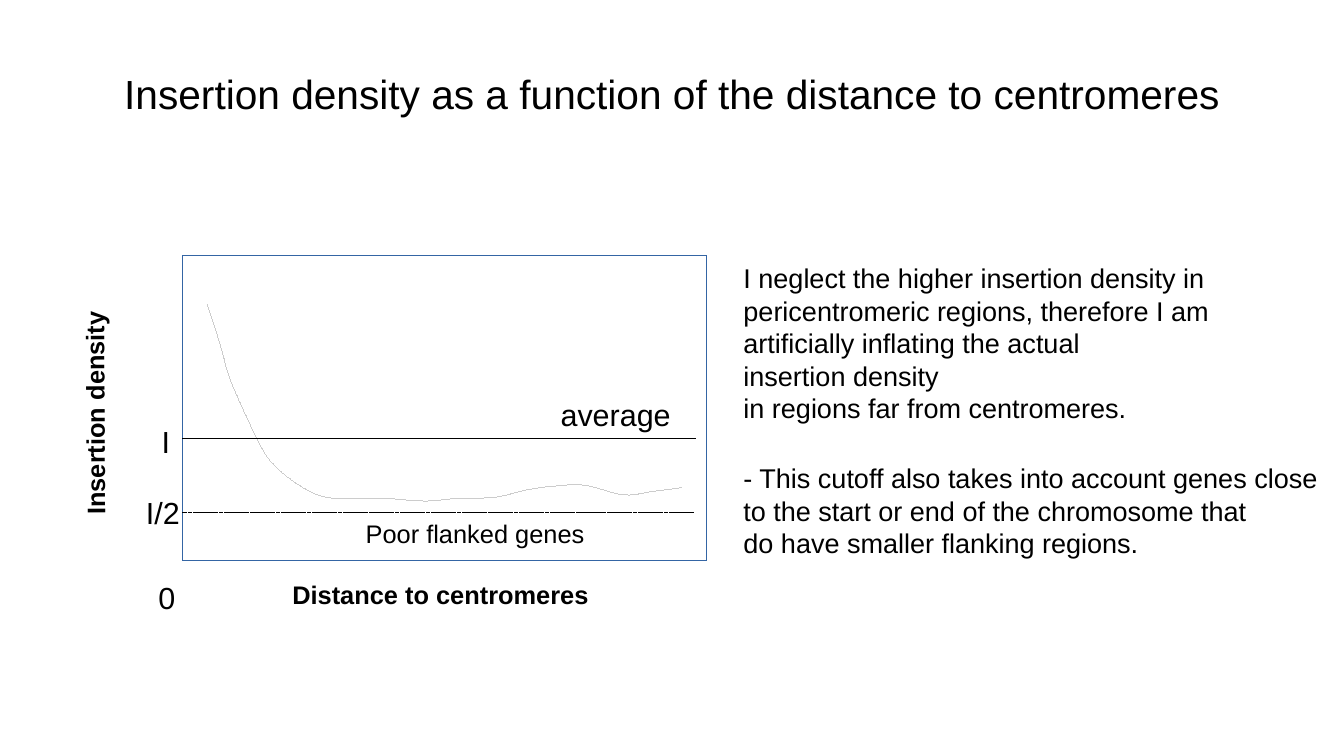
from lxml import etree
from pptx import Presentation
from pptx.dml.color import RGBColor
from pptx.enum.dml import MSO_LINE
from pptx.enum.shapes import MSO_CONNECTOR, MSO_SHAPE
from pptx.enum.text import MSO_ANCHOR, MSO_AUTO_SIZE, PP_ALIGN
from pptx.oxml.ns import qn
from pptx.util import Cm, Pt

BLACK = RGBColor(0x00, 0x00, 0x00)
FRAME_BLUE = RGBColor(0x34, 0x65, 0xA4)
FONT = "Arial"
STRAIGHT = MSO_CONNECTOR.STRAIGHT
RECTANGLE = MSO_SHAPE.RECTANGLE
DASHED = MSO_LINE.SQUARE_DOT
MIDDLE = MSO_ANCHOR.MIDDLE
GROW = MSO_AUTO_SIZE.SHAPE_TO_FIT_TEXT
CENTER = PP_ALIGN.CENTER

TITLE_ONLY = 5
TITLE = "Insertion density as a function of the distance to centromeres"
PLOT_LEFT, PLOT_TOP, PLOT_WIDTH, PLOT_HEIGHT = 3.81, 5.33, 10.92, 6.35
LEVEL_RIGHT = 14.48
AVERAGE_Y, CUTOFF_Y = 9.14, 10.67

DENSITY = [
    (4.32, 6.35), (4.57, 7.11), (4.78, 7.85), (5.13, 8.66), (5.54, 9.47),
    (6.05, 9.98), (6.71, 10.34), (7.44, 10.39), (8.1, 10.39), (8.86, 10.44),
    (9.47, 10.39), (10.31, 10.36), (10.95, 10.21), (11.53, 10.13),
    (12.19, 10.11), (13, 10.31), (13.59, 10.24), (14.2, 10.16),
]
STEPS = 6

NOTES = [
    "I neglect the higher insertion density in \n"
    "pericentromeric regions, therefore I am \n"
    "artificially inflating the actual",
    "insertion density\nin regions far from centromeres.",
    "- This cutoff also takes into account genes close\n"
    "to the start or end of the chromosome that \n"
    "do have smaller flanking regions.",
]


def write_paragraph(para, text, size, bold=False, align=None, before=0):
    para.text = text
    para.alignment = align
    if before:
        para.space_before = Pt(before)
    for span in para.runs:
        span.font.name = FONT
        span.font.size = Pt(size)
        span.font.bold = bold
        span.font.color.rgb = BLACK
    for line_break in para._p.findall(qn("a:br")):
        etree.SubElement(line_break, qn("a:rPr"), sz=str(size * 100))


def add_text(page, text, left, top, width, height, size=18, bold=False,
             wrap=False, rotation=0):
    box = page.shapes.add_textbox(Cm(left), Cm(top), Cm(width), Cm(height))
    box.rotation = rotation
    box.text_frame.word_wrap = wrap
    box.text_frame.auto_size = GROW
    write_paragraph(box.text_frame.paragraphs[0], text, size, bold)
    return box


def set_title(page):
    title = page.shapes.title
    title.left, title.top = Cm(1.4), Cm(0.63)
    title.width, title.height = Cm(25.2), Cm(2.63)
    frame = title.text_frame
    frame.margin_left = frame.margin_right = 0
    frame.margin_top = frame.margin_bottom = 0
    frame.vertical_anchor = MIDDLE
    write_paragraph(frame.paragraphs[0], TITLE, 24, align=CENTER)


def set_hairline(shape, color):
    """Give the outline a written zero width, which the setter would omit."""
    shape.line.color.rgb = color
    shape.line._ln.set("w", "0")


def add_plot_frame(page):
    frame = page.shapes.add_shape(RECTANGLE, Cm(PLOT_LEFT), Cm(PLOT_TOP),
                                  Cm(PLOT_WIDTH), Cm(PLOT_HEIGHT))
    frame.shadow.inherit = False
    frame.fill.background()
    set_hairline(frame, FRAME_BLUE)


def add_level(page, y, dash=None):
    """Draw a horizontal reference line across the plot."""
    level = page.shapes.add_connector(STRAIGHT, Cm(PLOT_LEFT), Cm(y),
                                      Cm(LEVEL_RIGHT), Cm(y))
    set_hairline(level, BLACK)
    level.line.dash_style = dash
    etree.SubElement(level._element.spPr, qn("a:effectLst"))


def smooth(points):
    """Return Catmull-Rom samples, in EMU, through points given in cm."""
    padded = [points[0], *points, points[-1]]
    samples = [points[0]]
    for a, b, c, d in zip(padded, padded[1:], padded[2:], padded[3:]):
        for step in range(1, STEPS + 1):
            t = step / STEPS
            samples.append(tuple(
                (2 * q + (r - p) * t + (2 * p - 5 * q + 4 * r - s) * t ** 2
                 + (3 * q - p - 3 * r + s) * t ** 3) / 2
                for p, q, r, s in zip(a, b, c, d)))
    return [(Cm(x), Cm(y)) for x, y in samples]


def add_density_curve(page):
    start, *others = smooth(DENSITY)
    builder = page.shapes.build_freeform(*start)
    builder.add_line_segments(others, close=False)
    curve = builder.convert_to_shape()
    curve.shadow.inherit = False
    curve.fill.background()
    set_hairline(curve, BLACK)
    color = curve.line._ln.find(".//" + qn("a:srgbClr"))
    etree.SubElement(color, qn("a:alpha"), val="20000")


def add_notes(page):
    first, second, third = NOTES
    frame = add_text(page, first, 15.24, 5.33, 12.5, 5.97, size=16).text_frame
    write_paragraph(frame.add_paragraph(), second, 16)
    write_paragraph(frame.add_paragraph(), third, 16, before=22)


def main():
    deck = Presentation()
    deck.slide_width, deck.slide_height = Cm(28), Cm(15.75)
    page = deck.slides.add_slide(deck.slide_layouts[TITLE_ONLY])
    set_title(page)
    add_plot_frame(page)
    add_level(page, AVERAGE_Y)
    add_density_curve(page)
    add_text(page, "Distance to centromeres", 5.84, 11.94, 6.71, 0.84,
             size=15, bold=True)
    add_text(page, "0", 3.05, 11.94, 0.86, 0.97)
    add_text(page, "Insertion density", -0.43, 8.18, 4.75, 0.84,
             size=15, bold=True, rotation=269.6)
    add_text(page, "average", 11.43, 8.13, 2.85, 0.97)
    add_notes(page)
    add_level(page, CUTOFF_Y, dash=DASHED)
    add_text(page, "Poor flanked genes", 7.37, CUTOFF_Y, 6.6, 0.84,
             size=15, wrap=True)
    add_text(page, "I", 3.12, 8.69, 0.69, 0.97)
    add_text(page, "I/2", 2.79, 10.16, 1.22, 0.97)
    deck.save("out.pptx")


if __name__ == "__main__":
    main()
